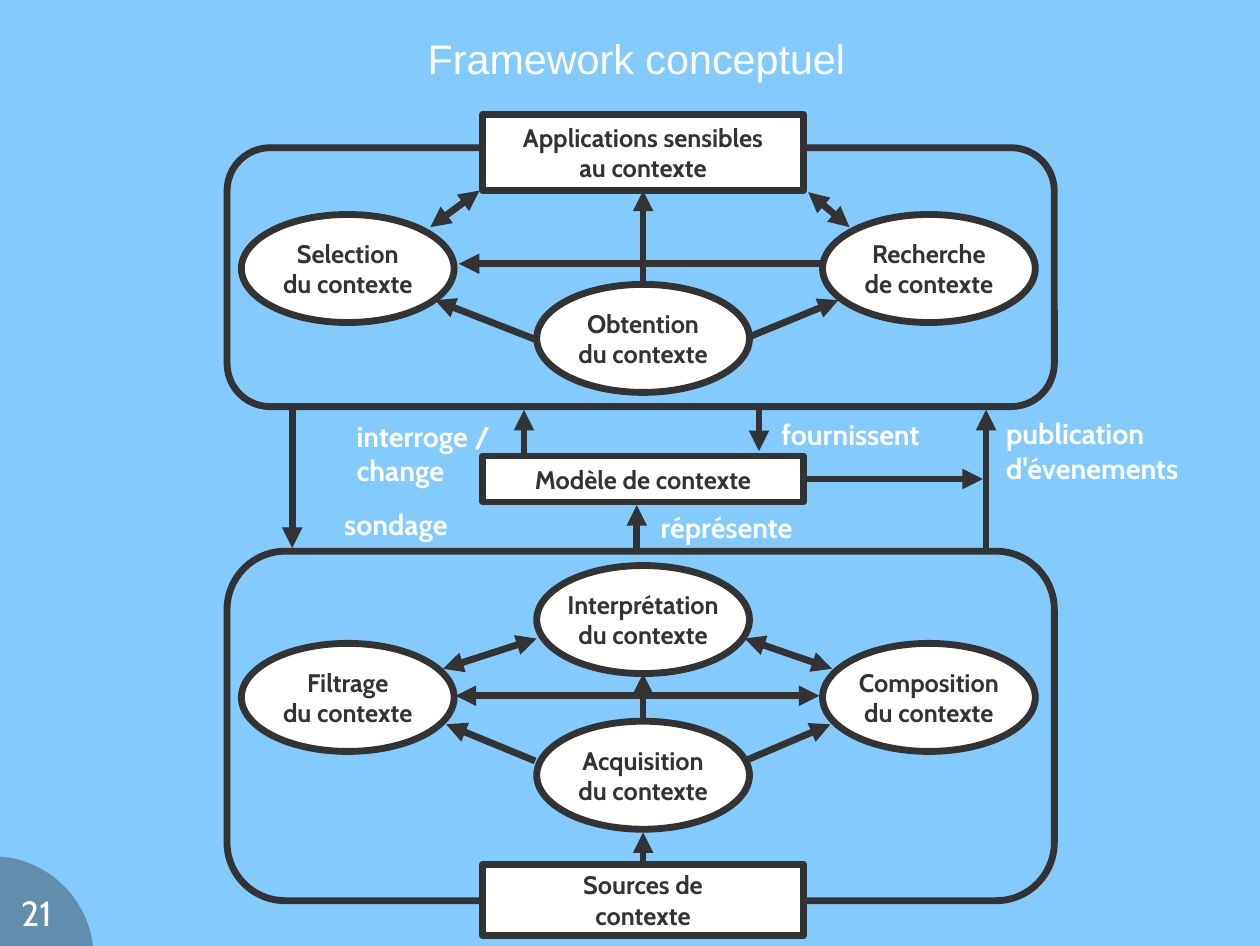
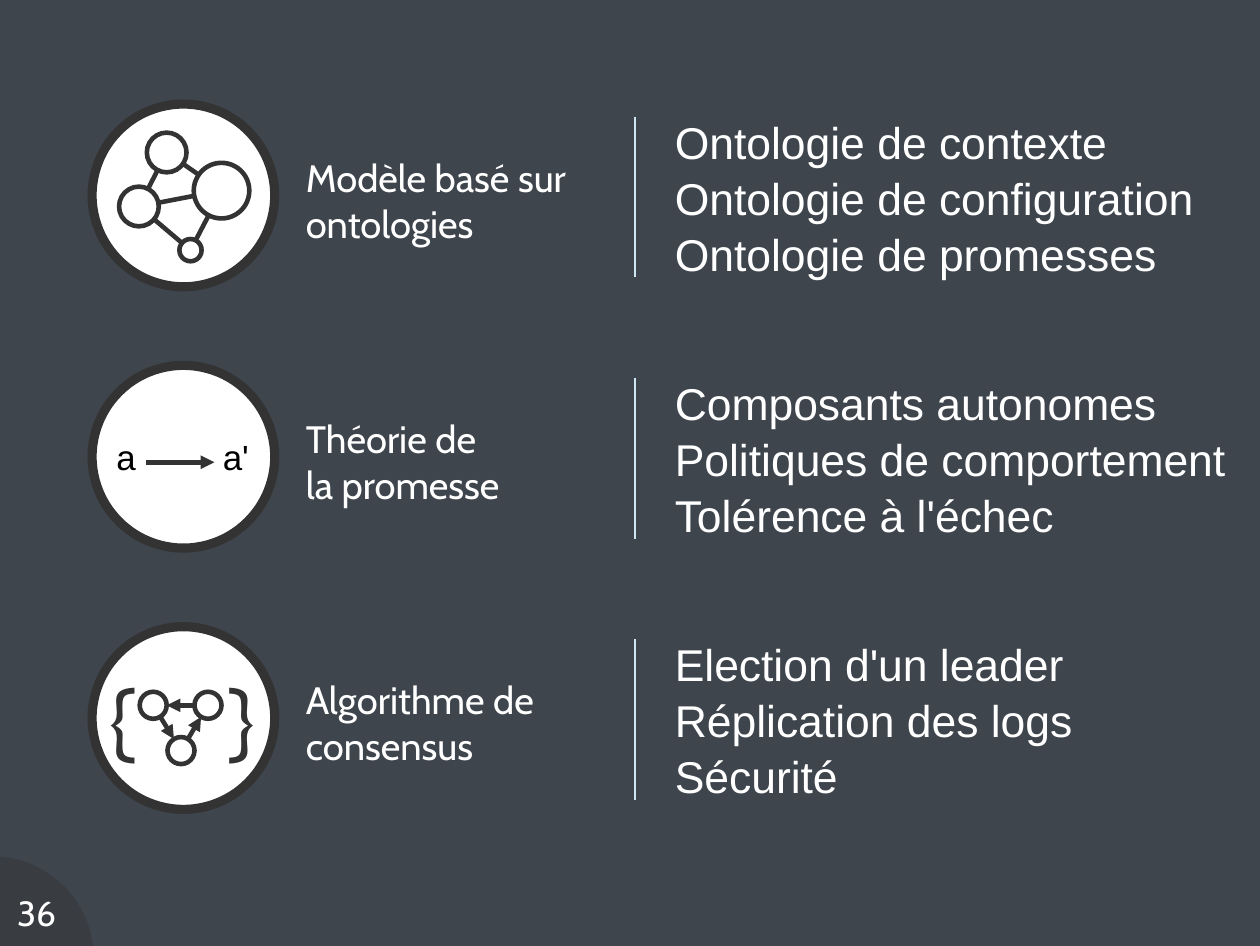
import math

import pptx
import pptx.dml.color
import pptx.enum.shapes
import pptx.enum.text
import pptx.oxml
import pptx.oxml.ns
import pptx.util

Pt = pptx.util.Pt
SHAPE = pptx.enum.shapes.MSO_SHAPE
ALIGN = pptx.enum.text.PP_ALIGN
ANCHOR = pptx.enum.text.MSO_ANCHOR
qn = pptx.oxml.ns.qn

INK = "333333"
WHITE = "FFFFFF"
SKY = "83CAFF"
SLATE = "3E454D"
PALE = "CFE7F5"
BODY_FONT = "Cabin"
TITLE_FONT = "Arial"
THICK = 4.31
FINE = 2.89


def colour(hex_code):
    return pptx.dml.color.RGBColor.from_string(hex_code)


def write(frame, paragraphs, size, ink=WHITE, font=BODY_FONT, bold=False,
          align=ALIGN.LEFT, anchor=ANCHOR.TOP, wrap=True, insets=(0, 0), spacing=None):
    frame.auto_size = pptx.enum.text.MSO_AUTO_SIZE.NONE
    frame.word_wrap = wrap
    frame.vertical_anchor = anchor
    frame.margin_left = frame.margin_right = Pt(insets[0])
    frame.margin_top = frame.margin_bottom = Pt(insets[1])
    for index, text in enumerate(paragraphs):
        paragraph = frame.add_paragraph() if index else frame.paragraphs[0]
        paragraph.text = text
        paragraph.alignment = align
        if spacing:
            paragraph.line_spacing = spacing
        paragraph.font.size = Pt(size)
        paragraph.font.name = font
        paragraph.font.bold = bold
        paragraph.font.color.rgb = colour(ink)


def add_text(slide, box, paragraphs, size, **style):
    textbox = slide.shapes.add_textbox(*map(Pt, box))
    write(textbox.text_frame, paragraphs, size, **style)


def add_outline(slide, kind, box, width, fill=WHITE, line=INK):
    shape = slide.shapes.add_shape(kind, *map(Pt, box))
    shape.shadow.inherit = False
    if fill:
        shape.fill.solid()
        shape.fill.fore_color.rgb = colour(fill)
    else:
        shape.fill.background()
    if line:
        shape.line.color.rgb = colour(line)
        shape.line.width = Pt(width)
    else:
        shape.line.fill.background()
    return shape


def add_block(slide, kind, box, text):
    block = add_outline(slide, kind, box, THICK)
    write(block.text_frame, [text], 16, ink=INK, bold=True, align=ALIGN.CENTER,
          anchor=ANCHOR.MIDDLE, wrap=False)
    return block


def add_line(slide, start, end, width, ink=INK, heads=()):
    line = slide.shapes.add_connector(
        pptx.enum.shapes.MSO_CONNECTOR.STRAIGHT, *map(Pt, (*start, *end)))
    line.line.color.rgb = colour(ink)
    line.line.width = Pt(width)
    for head in heads:
        tip = pptx.oxml.parse_xml(
            f'<a:{head} {pptx.oxml.ns.nsdecls("a")} type="triangle"/>')
        line.line._get_or_add_ln().append(tip)
    line._element.spPr.append(
        pptx.oxml.parse_xml(f'<a:effectLst {pptx.oxml.ns.nsdecls("a")}/>'))
    return line


def add_arrow(slide, start, end, width=THICK, double=False):
    heads = ("headEnd", "tailEnd") if double else ("tailEnd",)
    return add_line(slide, start, end, width, heads=heads)


def add_node(slide, node):
    x, y, diameter = node
    box = (x - diameter / 2, y - diameter / 2, diameter, diameter)
    add_outline(slide, SHAPE.OVAL, box, FINE)


def add_link(slide, source, target, heads=()):
    (x1, y1, d1), (x2, y2, d2) = source, target
    length = math.hypot(x2 - x1, y2 - y1)
    dx, dy = (x2 - x1) / length, (y2 - y1) / length
    start = (x1 + dx * d1 / 2, y1 + dy * d1 / 2)
    end = (x2 - dx * d2 / 2, y2 - dy * d2 / 2)
    add_line(slide, start, end, FINE, heads=heads)


def add_page(deck, background, number):
    slide = deck.slides.add_slide(deck.slide_layouts[5])
    slide.background.fill.solid()
    slide.background.fill.fore_color.rgb = colour(background)
    corner = add_outline(slide, SHAPE.OVAL, (-69, 539, 128, 128), 0, fill=INK, line=None)
    tint = corner._element.spPr.find(f'{qn("a:solidFill")}/{qn("a:srgbClr")}')
    tint.append(pptx.oxml.parse_xml(
        f'<a:alpha {pptx.oxml.ns.nsdecls("a")} val="40000"/>'))
    add_text(slide, (6, 561, 34, 28), [number], 22, align=ALIGN.CENTER)
    return slide


def set_title(slide, box, paragraphs, size, **style):
    title = slide.shapes.title
    title.left, title.top, title.width, title.height = map(Pt, box)
    write(title.text_frame, paragraphs, size, font=TITLE_FONT,
          anchor=ANCHOR.MIDDLE, **style)


def build_framework(deck):
    slide = add_page(deck, SKY, "21")
    set_title(slide, (24, 1, 754, 71), ["Framework conceptuel"], 26, align=ALIGN.CENTER)

    for top, height in ((93, 163), (347, 220)):
        add_outline(slide, SHAPE.ROUNDED_RECTANGLE, (143, top, 521, height), THICK, fill=None)

    left, middle, right = 152, 338, 518
    activities = {
        name: add_block(slide, SHAPE.OVAL, (x, y, 134, 68), f"{name}\n{ending}")
        for name, ending, x, y in (
            ("Selection", "du contexte", left, 135),
            ("Recherche", "de contexte", right, 135),
            ("Obtention", "du contexte", middle, 179),
            ("Interprétation", "du contexte", middle, 356),
            ("Filtrage", "du contexte", left, 405),
            ("Composition", "du contexte", right, 405),
            ("Acquisition", "du contexte", middle, 454),
        )
    }
    applications, model, sources = (
        add_block(slide, SHAPE.RECTANGLE, (304, top, 202, height), text)
        for top, height, text in (
            (72, 48, "Applications sensibles\nau contexte"),
            (287, 29, "Modèle de contexte"),
            (544, 45, "Sources de\ncontexte"),
        )
    )

    for start, end in (
        ((478, 255), (478, 284)),
        ((330, 287), (330, 258)),
        ((401, 346), (401, 318)),
        ((621, 345), (621, 258)),
        ((184, 258), (184, 345)),
        ((517, 166), (289, 166)),
        ((472, 212), (528, 189)),
        ((338, 214), (274, 189)),
        ((337, 479), (281, 456)),
        ((469, 479), (523, 456)),
    ):
        add_arrow(slide, start, end)

    for start, end in (
        ((287, 438), (516, 438)),
        ((509, 121), (535, 143)),
        ((302, 120), (271, 143)),
        ((338, 402), (279, 421)),
        ((524, 421), (469, 402)),
    ):
        add_arrow(slide, start, end, double=True)

    delivery = add_arrow(slide, (405, 179), (405, 120))
    delivery.begin_connect(activities["Obtention"], 0)
    delivery.end_connect(applications, 2)
    for origin, side, start, end in (
        (activities["Acquisition"], 0, (405, 454), (405, 424)),
        (sources, 0, (405, 544), (405, 524)),
        (model, 3, (506, 301.5), (619, 301.5)),
    ):
        add_arrow(slide, start, end).begin_connect(origin, side)

    for box, text, align in (
        ((485, 259, 127, 32), "fournissent", ALIGN.LEFT),
        ((409, 317.5, 127, 32), "réprésente", ALIGN.LEFT),
        ((217.5, 260, 127, 56), "interroge /\nchange", ALIGN.LEFT),
        ((626.5, 258.5, 140, 56), "publication\nd'évenements", ALIGN.LEFT),
        ((191, 315.5, 98, 32), "sondage", ALIGN.RIGHT),
    ):
        add_text(slide, box, [text], 18, bold=True, align=align, insets=(7.2, 3.6))


def add_symbols(slide, symbols, size, centre_y, **style):
    for text, centre_x in symbols:
        add_text(slide, (centre_x - 15, centre_y - 33, 30, 66), [text], size,
                 align=ALIGN.CENTER, anchor=ANCHOR.MIDDLE, **style)


def draw_ontology(slide, top):
    west = (87.5, top + 64.5, 25)
    east = (139.5, top + 54.5, 35)
    south = (120, top + 92, 14)
    north = (105, top + 30.5, 25)
    for source, target in ((west, south), (east, south), (east, north),
                           (west, north), (west, east)):
        add_link(slide, source, target)
    for node in (west, east, south, north):
        add_node(slide, node)


def draw_promise(slide, top):
    add_symbols(slide, (("a", 79.5), ("a'", 148.5)), 22, top + 57.5,
                ink="000000", font=TITLE_FONT)
    add_arrow(slide, (92, top + 61), (135, top + 61), FINE)


def draw_consensus(slide, top):
    add_symbols(slide, (("{", 77), ("}", 152.5)), 54, top + 57.5, ink=INK)
    ring = ((96.5, top + 49.5, 17), (114, top + 78, 17), (131, top + 49.5, 17))
    for index, node in enumerate(ring):
        add_node(slide, node)
        add_link(slide, node, ring[(index + 1) % len(ring)], ("tailEnd",))


def build_foundations(deck):
    slide = add_page(deck, SLATE, "36")
    foundations = (
        (draw_ontology, "Modèle basé sur\nontologies",
         ("Ontologie de contexte", "Ontologie de configuration", "Ontologie de promesses")),
        (draw_promise, "Théorie de\nla promesse",
         ("Composants autonomes", "Politiques de comportement", "Tolérence à l'échec")),
        (draw_consensus, "Algorithme de\nconsensus",
         ("Election d'un leader", "Réplication des logs", "Sécurité")),
    )
    for row, (draw_icon, label, topics) in enumerate(foundations):
        top = 65.5 + 164.5 * row
        add_outline(slide, SHAPE.OVAL, (58, top, 115, 115), 5.75)
        draw_icon(slide, top)
        add_text(slide, (185.5, top + 28, 201, 73), [label], 24, insets=(7.2, 3.6))
        add_line(slide, (400, top + 8), (400, top + 109), 1.45, ink=PALE)
        topics_box = (425, top, 368, 116)
        if row == 0:
            set_title(slide, topics_box, topics, 28, spacing=1.05)
        else:
            add_text(slide, topics_box, topics, 28, font=TITLE_FONT,
                     anchor=ANCHOR.MIDDLE, spacing=1.05)


def main():
    deck = pptx.Presentation()
    deck.slide_width, deck.slide_height = Pt(793.5), Pt(595.5)
    build_framework(deck)
    build_foundations(deck)
    deck.save("out.pptx")


if __name__ == "__main__":
    main()
